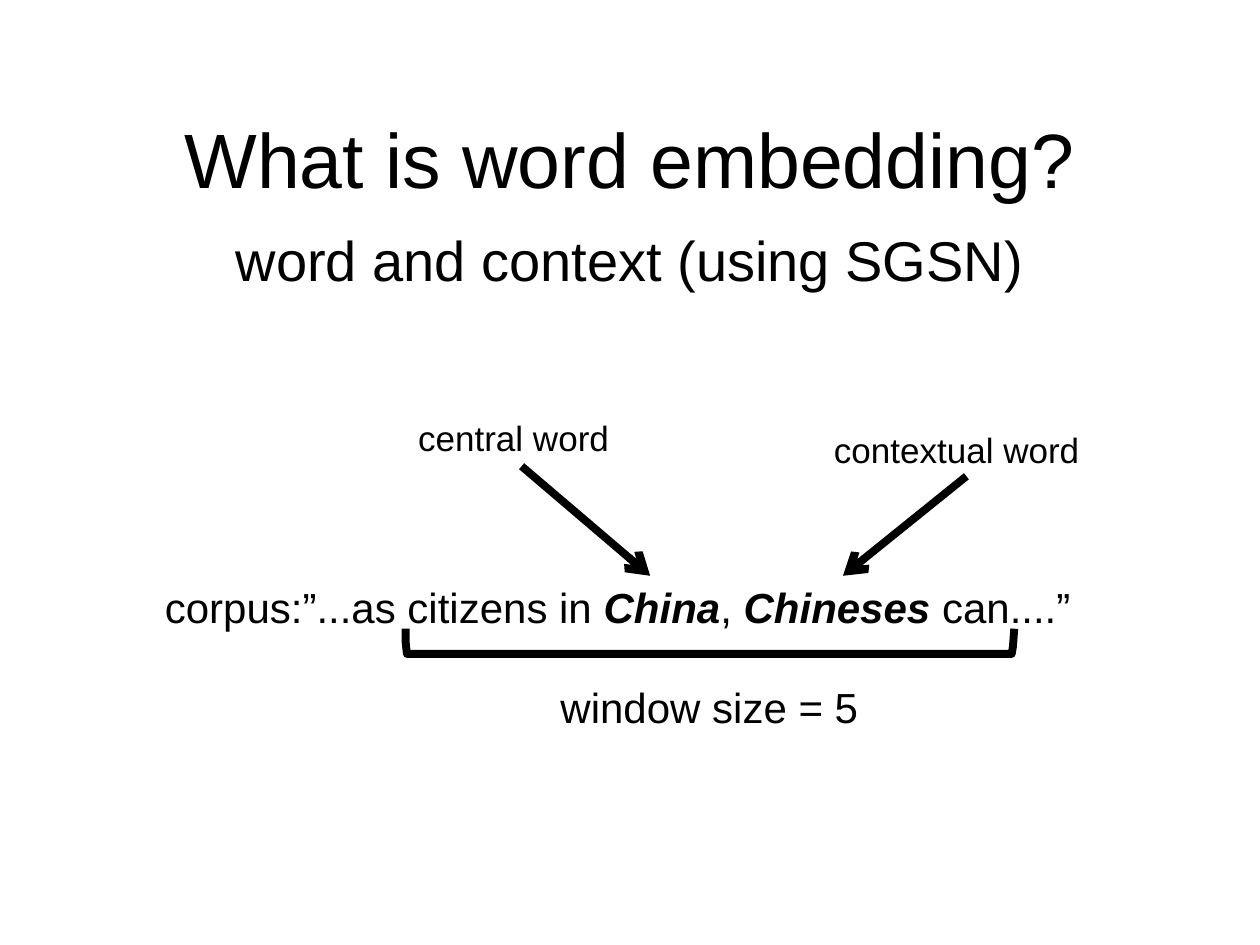
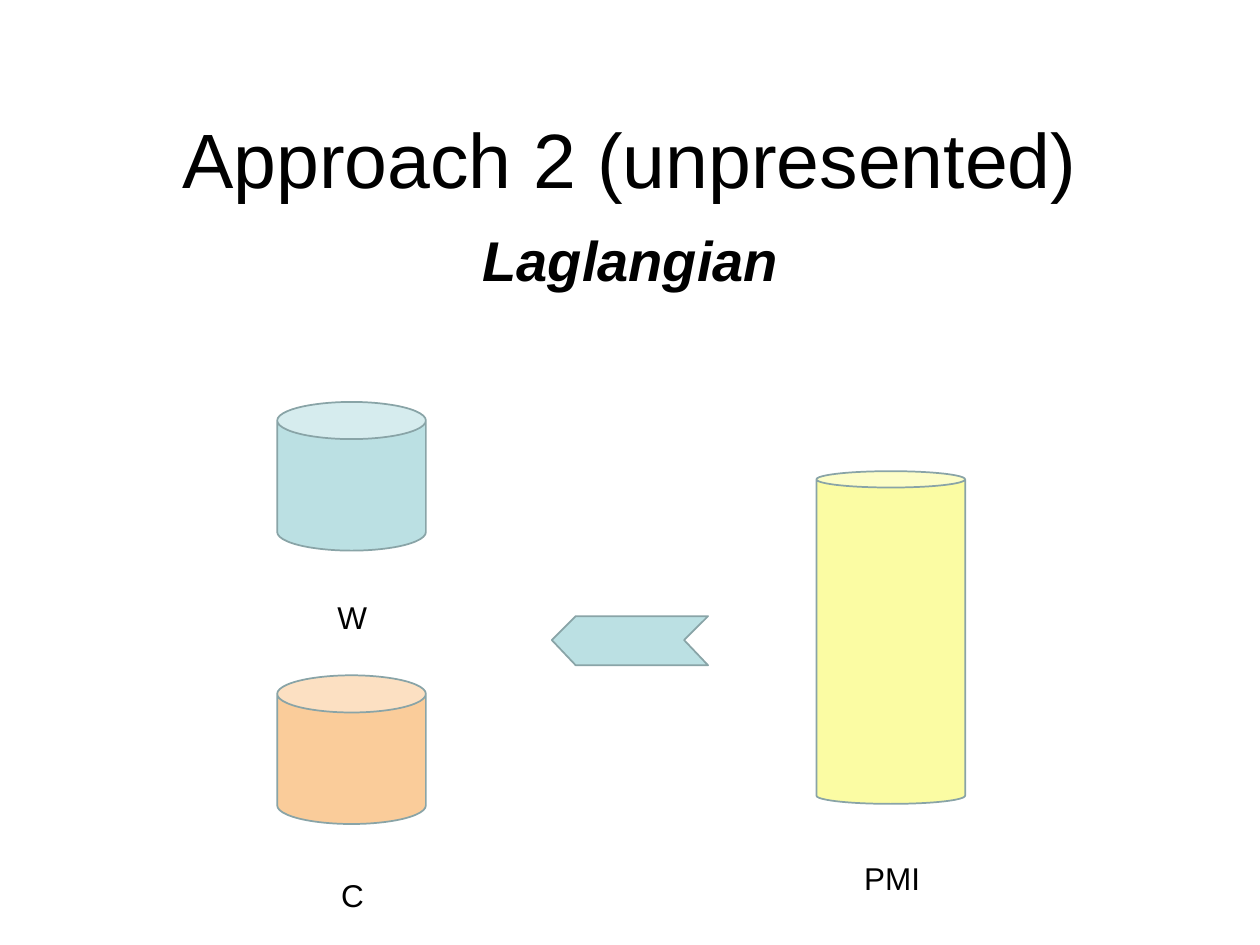
"""Build two slides on word embedding: word and context, and the Lagrangian approach."""
from lxml import etree
from pptx import Presentation
from pptx.dml.color import RGBColor
from pptx.enum.shapes import MSO_CONNECTOR as CONNECTOR, MSO_SHAPE as SHAPE
from pptx.enum.text import MSO_ANCHOR as ANCHOR, MSO_AUTO_SIZE as AUTO_SIZE, PP_ALIGN as ALIGN
from pptx.oxml.ns import qn
from pptx.util import Inches, Pt

BLACK = RGBColor(0x00, 0x00, 0x00)
TEAL = RGBColor(0xBB, 0xE0, 0xE3)
ORANGE = RGBColor(0xFA, 0xCC, 0x9A)
YELLOW = RGBColor(0xFB, 0xFC, 0xA3)
OUTLINE = RGBColor(0x89, 0xA4, 0xA7)
PLAIN = {"name": "Arial", "bold": False, "italic": False}
EMPHASIS = {"name": "Arial", "bold": True, "italic": True}
TITLE_BOX = (0.75, 0.45, 8.5, 1.61)


def write_text(shape, runs, size, align=ALIGN.LEFT, wrap=True):
    """Fill a shape with one paragraph of (text, style) runs."""
    shape.text_frame.word_wrap = wrap
    paragraph = shape.text_frame.paragraphs[0]
    paragraph.alignment = align
    for text, style in runs:
        run = paragraph.add_run()
        run.text = text
        run.font.size = Pt(size)
        run.font.color.rgb = BLACK
        for attribute, value in style.items():
            setattr(run.font, attribute, value)
    return paragraph


def draw_outline(slide, points, close):
    """Draw a freeform through points given in inches."""
    corners = [(Inches(x), Inches(y)) for x, y in points]
    builder = slide.shapes.build_freeform(*corners[0], scale=1.0)
    builder.add_line_segments(corners[1:], close=close)
    shape = builder.convert_to_shape()
    shape.shadow.inherit = False
    return shape


presentation = Presentation()
presentation.slide_width = Inches(10)
presentation.slide_height = Inches(7.5)

headings = [
    ("What is word embedding?", "word and context (using SGSN)", PLAIN, (1.63, 1.74, 6.74, 0.78)),
    ("Approach 2 (unpresented)", "Laglangian", EMPHASIS, (1.39, 1.74, 7.23, 0.78)),
]
slides = []
for title_text, subtitle_text, subtitle_style, subtitle_box in headings:
    slide = presentation.slides.add_slide(presentation.slide_layouts[5])
    title = slide.shapes.title
    title.left, title.top, title.width, title.height = map(Inches, TITLE_BOX)
    title.text_frame.vertical_anchor = ANCHOR.MIDDLE
    write_text(title, [(title_text, PLAIN)], 44, ALIGN.CENTER)
    subtitle = slide.shapes.add_textbox(*map(Inches, subtitle_box))
    paragraph = write_text(subtitle, [(subtitle_text, subtitle_style)], 32, ALIGN.CENTER)
    paragraph.space_before = Pt(8)
    slides.append(slide)
context_slide, approach_slide = slides

corpus_runs = [
    ("corpus:”...as citizens in ", PLAIN),
    ("China", EMPHASIS),
    (", ", PLAIN),
    ("Chineses ", EMPHASIS),
    ("can....”", PLAIN),
]
labels = [
    (context_slide, (1.21, 4.57, 7.39, 0.5), corpus_runs, 24),
    (context_slide, (4.35, 5.36, 2.56, 0.5), [("window size = 5", PLAIN)], 24),
    (context_slide, (3.22, 3.26, 1.85, 0.44), [("central word", PLAIN)], 20),
    (context_slide, (6.52, 3.35, 2.31, 0.44), [("contextual word", PLAIN)], 20),
    (approach_slide, (2.58, 4.7, 0.43, 0.4), [("W", PLAIN)], 18),
    (approach_slide, (2.61, 6.9, 0.38, 0.4), [("C", PLAIN)], 18),
    (approach_slide, (6.76, 6.77, 0.66, 0.4), [("PMI", PLAIN)], 18),
]
for slide, box, runs, size in labels:
    label = slide.shapes.add_textbox(*map(Inches, box))
    write_text(label, runs, size, wrap=False)
    label.text_frame.auto_size = AUTO_SIZE.SHAPE_TO_FIT_TEXT

window_bracket = draw_outline(
    context_slide,
    [(3.22, 4.99), (3.22, 5.1), (3.23, 5.19), (8.03, 5.19), (8.04, 5.13), (8.05, 4.99)],
    close=False,
)
window_bracket.fill.background()
window_bracket.line.color.rgb = BLACK
window_bracket.line.width = Pt(4.5)

for ends in [(4.14, 3.7, 5.16, 4.57), (7.67, 3.78, 6.69, 4.57)]:
    arrow = context_slide.shapes.add_connector(CONNECTOR.STRAIGHT, *map(Inches, ends))
    arrow.line.color.rgb = BLACK
    arrow.line.width = Pt(4.5)
    etree.SubElement(arrow.line._get_or_add_ln(), qn("a:tailEnd"), type="arrow")
    etree.SubElement(arrow._element.spPr, qn("a:effectLst"))

filled_shapes = []
for left, top, height, lid, color in [
    (2.2, 3.19, 1.18, 0.25, TEAL),
    (2.2, 5.36, 1.18, 0.25, ORANGE),
    (6.48, 3.74, 2.64, 0.11, YELLOW),
]:
    can = approach_slide.shapes.add_shape(
        SHAPE.CAN, Inches(left), Inches(top), Inches(1.18), Inches(height)
    )
    can.adjustments[0] = lid
    can.shadow.inherit = False
    filled_shapes.append((can, color))

chevron = draw_outline(
    approach_slide,
    [(5.62, 4.89), (4.57, 4.89), (4.38, 5.08), (4.57, 5.28), (5.62, 5.28), (5.43, 5.08)],
    close=True,
)
filled_shapes.append((chevron, TEAL))

for shape, color in filled_shapes:
    shape.fill.solid()
    shape.fill.fore_color.rgb = color
    shape.line.color.rgb = OUTLINE
    shape.line.width = Pt(1)

presentation.save("out.pptx")
